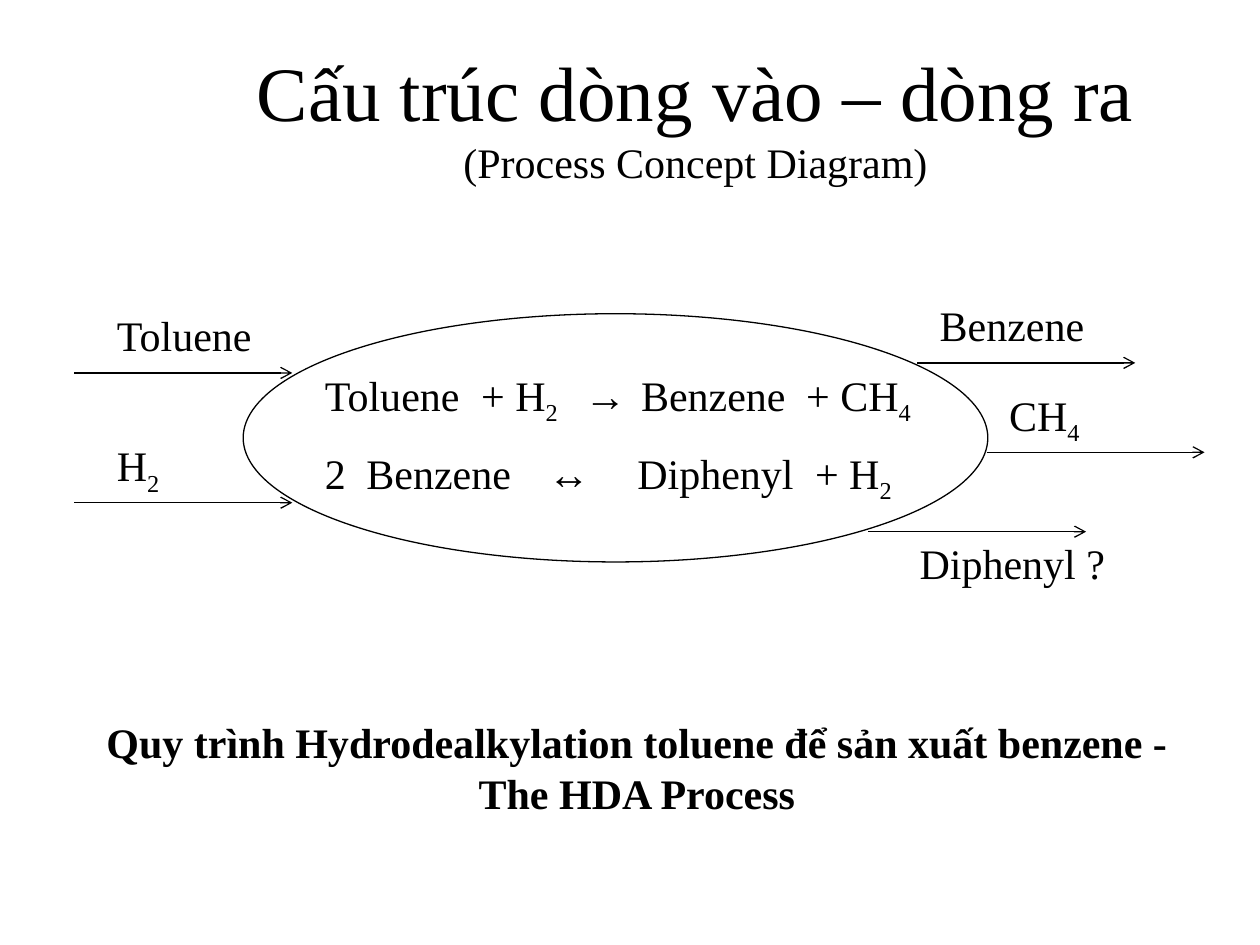
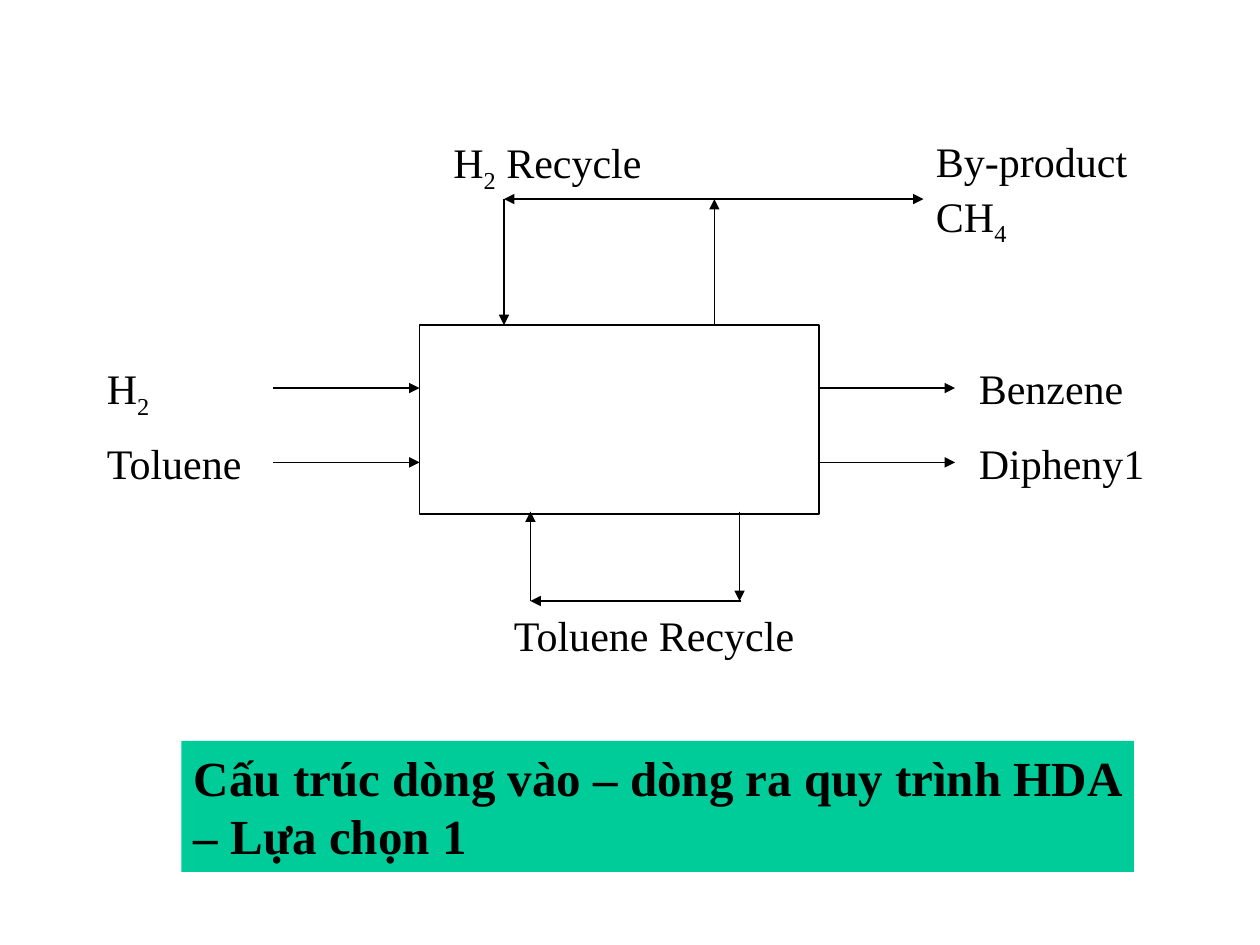
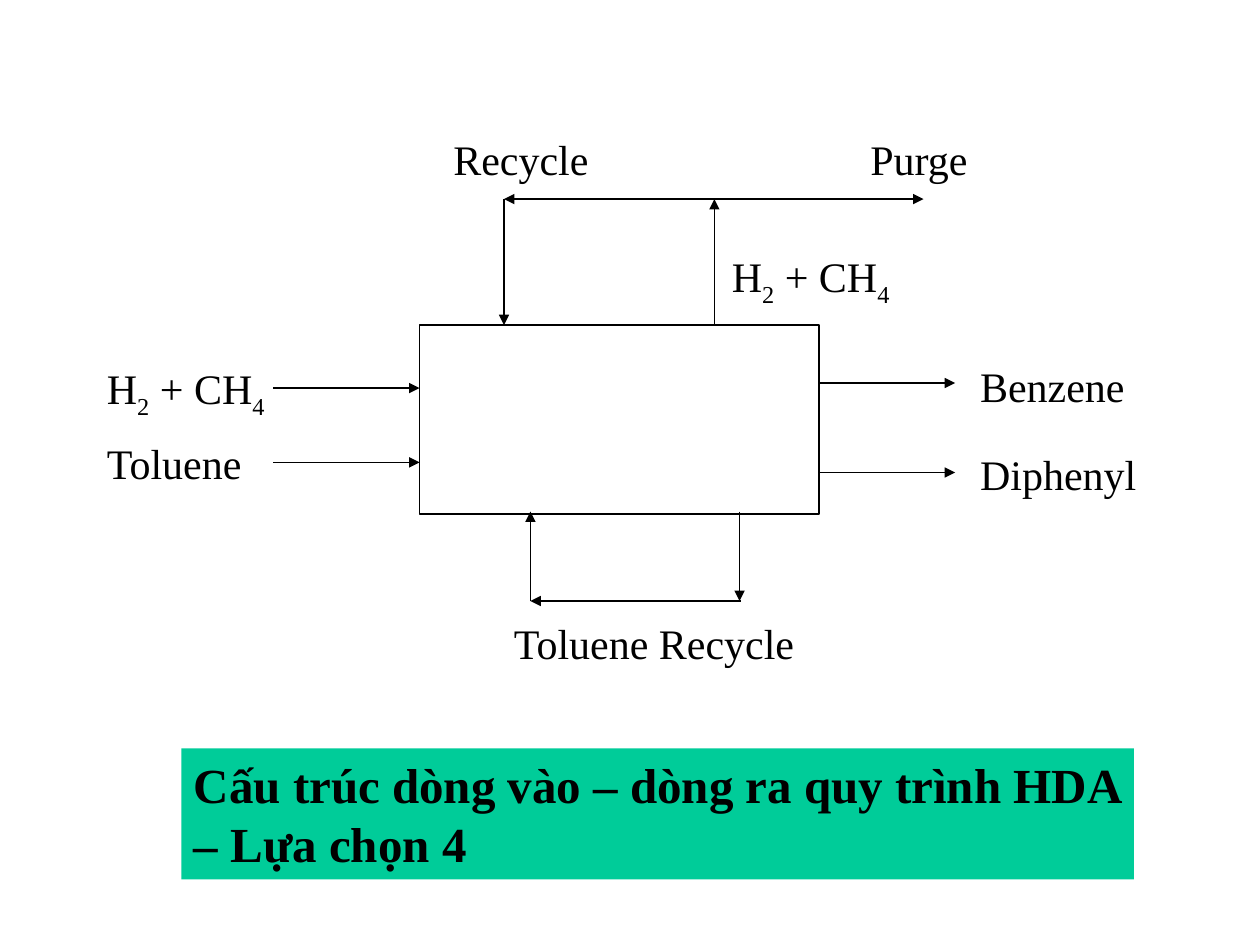
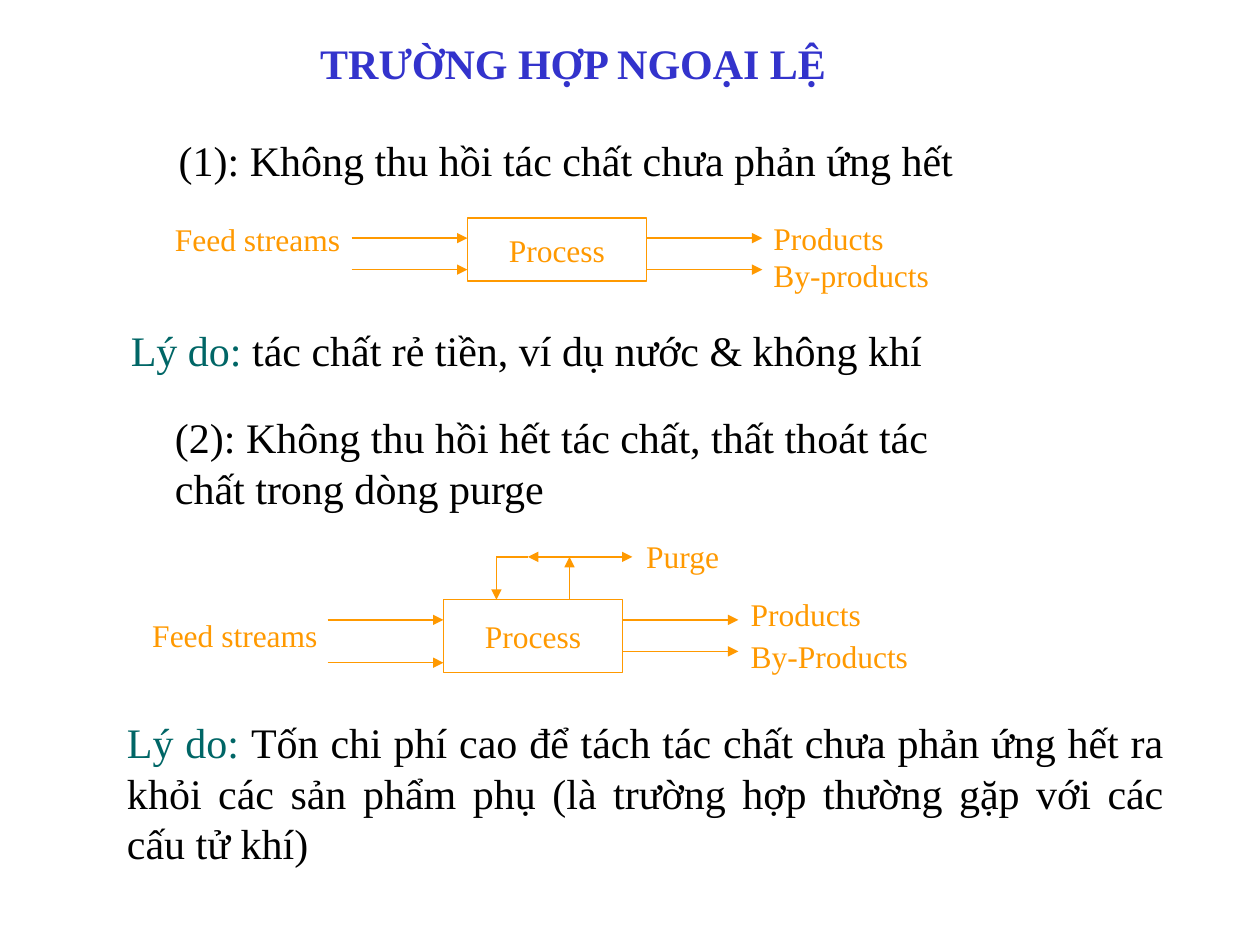
from lxml.etree import SubElement
from pptx import Presentation
from pptx.dml.color import RGBColor
from pptx.enum.shapes import MSO_CONNECTOR, MSO_SHAPE
from pptx.enum.text import MSO_ANCHOR, MSO_AUTO_SIZE, PP_ALIGN
from pptx.oxml.ns import qn
from pptx.util import Inches, Pt

COLORS = {"ink": "000000", "paper": "FFFFFF", "banner": "00CC99",
          "heading": "3333CC", "flow": "FF9900", "reason": "006666"}
FONT = "Times New Roman"
TIGHT = 0.6  # line spacing of the labels above and below the recycle loops

# ---- Content: "_" makes the next character a subscript ----
CONCEPT_TITLE = "Cấu trúc dòng vào – dòng ra"
CONCEPT_SUBTITLE = "(Process Concept Diagram)"
REACTIONS = [
    ("Toluene\t+ H_2\t→\tBenzene\t+ CH_4", (1.24, 2.06, 2.51, 3.82)),
    ("2\tBenzene\t↔\tDiphenyl\t+ H_2", (0.33, 1.77, 2.48, 3.89)),
]
# label, label left, label top, label width, arrow left, arrow y
CONCEPT_STREAMS = [
    ("Toluene", 0.83, 2.41, 1.36, 0.59, 2.96),
    ("H_2", 0.83, 3.44, 0.64, 0.59, 3.99),
    ("Benzene", 7.36, 2.33, 1.36, 7.28, 2.88),
    ("CH_4", 7.91, 3.04, 0.78, 7.83, 3.59),
    ("Diphenyl ?", 7.2, 4.22, 1.69, 6.89, 4.22),
]
CONCEPT_CAPTION = ["Quy trình Hydrodealkylation toluene để sản xuất benzene -",
                   "The HDA Process"]

# labels: paragraphs, left, top, width, height, line spacing
OPTIONS = [
    {"caption": "Cấu trúc dòng vào – dòng ra quy trình HDA – Lựa chọn 1",
     "caption_top": 5.88, "outlets": (3.08, 3.67),
     "labels": [
         (["By-product", "CH_4"], 7.33, 1.17, 1.84, 0.79, TIGHT),
         (["Benzene"], 7.67, 2.83, 1.42, 0.5, None),
         (["Dipheny1"], 7.67, 3.42, 1.58, 0.5, None),
         (["H_2"], 0.75, 2.83, 1.5, 0.5, None),
         (["H_2 Recycle"], 3.5, 1.15, 2.76, 0.36, TIGHT),
         (["Toluene Recycle"], 3.98, 4.93, 2.68, 0.34, TIGHT)]},
    {"caption": "Cấu trúc dòng vào – dòng ra quy trình HDA – Lựa chọn 4",
     "caption_top": 5.94, "outlets": (3.04, 3.75),
     "labels": [
         (["Benzene"], 7.68, 2.81, 1.42, 0.5, None),
         (["Diphenyl"], 7.68, 3.51, 1.65, 0.5, None),
         (["H_2 + CH_4"], 0.75, 2.83, 1.81, 0.5, None),
         (["Recycle"], 3.5, 1.15, 1.57, 0.34, TIGHT),
         (["Purge"], 6.81, 1.15, 1.34, 0.34, TIGHT),
         (["H_2 + CH_4"], 5.71, 1.94, 1.81, 0.5, None),
         (["Toluene Recycle"], 3.98, 4.85, 3.07, 0.5, None)]},
]
FEED_LABEL = (["Toluene"], 0.75, 3.42, 1.33, 0.5, None)
INLETS = (3.08, 3.67)
RECYCLE_LOOPS = [
    ((5.67, 2.58), (5.67, 1.58)), ((5.67, 1.58), (4, 1.58)),
    ((4, 1.58), (4, 2.58)), ((5.67, 1.58), (7.33, 1.58)),
    ((5.87, 4.06), (5.87, 4.77)), ((5.88, 4.77), (4.21, 4.77)),
    ((4.21, 4.77), (4.21, 4.06)),
]

EXCEPTIONS_TITLE = "TRƯỜNG HỢP NGOẠI LỆ"
CASE_1 = "(1): Không thu hồi tác chất chưa phản ứng hết"
CASE_2 = "(2): Không thu hồi hết tác chất, thất thoát tác chất trong dòng purge"
# reason text, left, top, height
REASONS = [
    ("tác chất rẻ tiền, ví dụ nước & không khí", 0.94, 2.53, 0.5),
    ("Tốn chi phí cao để tách tác chất chưa phản ứng hết ra khỏi các sản "
     "phẩm phụ (là trường hợp thường gặp với các cấu tử khí)", 0.91, 5.64, 1.31),
]
# labels: text, left, top, width
PROCESSES = [
    {"box": (3.71, 1.73, 1.42, 0.5), "inlets": (1.89, 2.14), "outlets": (1.89, 2.14),
     "labels": [("Feed streams", 1.29, 1.7, 1.83), ("Products", 6.04, 1.69, 1.75),
                ("By-products", 6.04, 1.98, 1.5)]},
    {"box": (3.52, 4.76, 1.42, 0.58), "inlets": (4.92, 5.26), "outlets": (4.92, 5.17),
     "labels": [("Purge", 5.03, 4.21, 1.25), ("Products", 5.86, 4.67, 1.5),
                ("By-Products", 5.86, 5.01, 1.67), ("Feed streams", 1.11, 4.84, 1.58)]},
]
PURGE_LOOP = [
    ((4.52, 4.76), (4.52, 4.42), "triangle"), ((4.52, 4.42), (4.19, 4.42), "triangle"),
    ((4.52, 4.42), (5.02, 4.42), "triangle"), ((4.19, 4.42), (3.94, 4.42), None),
    ((3.94, 4.42), (3.94, 4.76), "triangle"),
]


# ---- Shared helpers ----
def rgb(name):
    return RGBColor.from_string(COLORS[name])


def add_run(paragraph, text, size=24, color="ink", bold=False, subscript=False):
    run = paragraph.add_run()
    run.text = text
    run.font.name, run.font.size, run.font.bold = FONT, Pt(size), bold
    run.font.color.rgb = rgb(color)
    if subscript:
        run.font._element.set("baseline", "-25000")


def add_formula(paragraph, text, **style):
    plain, *rest = text.split("_")
    add_run(paragraph, plain, **style)
    for piece in rest:
        add_run(paragraph, piece[0], subscript=True, **style)
        if piece[1:]:
            add_run(paragraph, piece[1:], **style)


def set_tabs(paragraph, stops):
    tab_list = SubElement(paragraph._p.get_or_add_pPr(), qn("a:tabLst"))
    for stop in stops:
        SubElement(tab_list, qn("a:tab"), pos=str(Inches(stop)), algn="l")


def prepare_frame(shape, wrap=True, grow=True, anchor=MSO_ANCHOR.TOP):
    frame = shape.text_frame
    frame.word_wrap = wrap
    frame.auto_size = MSO_AUTO_SIZE.SHAPE_TO_FIT_TEXT if grow else MSO_AUTO_SIZE.NONE
    frame.vertical_anchor = anchor
    return frame


def add_box(slide, place, **frame_style):
    return prepare_frame(slide.shapes.add_textbox(*map(Inches, place)), **frame_style)


def fill_frame(frame, paragraphs, align=PP_ALIGN.LEFT, spacing=None, gap=0, **style):
    for index, text in enumerate(paragraphs):
        paragraph = frame.add_paragraph() if index else frame.paragraphs[0]
        paragraph.alignment = align
        if spacing:
            paragraph.line_spacing = spacing
        if index and gap:
            paragraph.space_before = Pt(gap)
        add_formula(paragraph, text, **style)


def add_outline(slide, kind, place, fill=None, line=None):
    shape = slide.shapes.add_shape(kind, *map(Inches, place))
    shape.shadow.inherit = False
    if fill:
        shape.fill.solid()
        shape.fill.fore_color.rgb = rgb(fill)
    else:
        shape.fill.background()
    if line:
        shape.line.color.rgb, shape.line.width = rgb(line), Pt(0.75)
    else:
        shape.line.fill.background()
    return shape


def add_stream(slide, start, end, color="ink", head="triangle"):
    stream = slide.shapes.add_connector(
        MSO_CONNECTOR.STRAIGHT, *map(Inches, (*start, *end)))
    stream.line.color.rgb, stream.line.width = rgb(color), Pt(0.75)
    if head:
        SubElement(stream.line._get_or_add_ln(), qn("a:tailEnd"), type=head)
    SubElement(stream._element.spPr, qn("a:effectLst"))


def add_side_streams(slide, box, inlets, outlets, in_length, out_length, color="ink"):
    left, right = box[0], box[0] + box[2]
    for y in inlets:
        add_stream(slide, (left - in_length, y), (left, y), color)
    for y in outlets:
        add_stream(slide, (right, y), (right + out_length, y), color)


# ---- Slides ----
def build_concept(slide):
    title = add_box(slide, (1.26, 0.23, 8.52, 1.6), grow=False)
    title.margin_top = Inches(0.12)
    heading = title.paragraphs[0]
    heading.alignment = PP_ALIGN.CENTER
    add_run(heading, CONCEPT_TITLE, size=44)
    heading.add_line_break()
    add_run(heading, CONCEPT_SUBTITLE)

    reactions = add_box(slide, (2.48, 2.88, 5.12, 1.11))
    fill_frame(reactions, [text for text, _ in REACTIONS], gap=12)
    for paragraph, (_, stops) in zip(reactions.paragraphs, REACTIONS):
        set_tabs(paragraph, stops)
    add_outline(slide, MSO_SHAPE.OVAL, (1.93, 2.49, 5.91, 1.97), line="ink")

    for label, left, top, width, start, y in CONCEPT_STREAMS:
        add_stream(slide, (start, y), (start + 1.73, y), head="arrow")
        fill_frame(add_box(slide, (left, top, width, 0.5), wrap=False), [label])
    caption = add_box(slide, (0.62, 5.64, 8.87, 0.91), wrap=False)
    fill_frame(caption, CONCEPT_CAPTION, align=PP_ALIGN.CENTER, bold=True)


def build_option(slide, option):
    plant = (3.33, 2.58, 3.17, 1.5)
    add_outline(slide, MSO_SHAPE.RECTANGLE, plant, "paper", "ink")
    add_side_streams(slide, plant, INLETS, option["outlets"], 1.16, 1.08)
    for start, end in RECYCLE_LOOPS:
        add_stream(slide, start, end)
    for paragraphs, *place, spacing in [*option["labels"], FEED_LABEL]:
        fill_frame(add_box(slide, place), paragraphs, spacing=spacing, gap=12)
    banner = add_outline(slide, MSO_SHAPE.RECTANGLE,
                         (1.44, option["caption_top"], 7.56, 1.04), "banner")
    fill_frame(prepare_frame(banner), [option["caption"]], size=28, bold=True)


def build_exceptions(slide):
    heading = add_box(slide, (0.42, 0.25, 8.75, 0.5))
    heading.margin_right = Inches(0.59)
    fill_frame(heading, [EXCEPTIONS_TITLE], align=PP_ALIGN.CENTER,
               color="heading", bold=True)
    fill_frame(add_box(slide, (1.32, 1.02, 6.49, 0.5), wrap=False), [CASE_1])
    case_2 = add_outline(slide, MSO_SHAPE.RECTANGLE, (1.29, 3.22, 6.65, 0.91),
                         line="paper")
    fill_frame(prepare_frame(case_2), [CASE_2])

    for process in PROCESSES:
        box = add_outline(slide, MSO_SHAPE.RECTANGLE, process["box"], "paper", "flow")
        fill_frame(prepare_frame(box, wrap=False, grow=False, anchor=MSO_ANCHOR.MIDDLE),
                   ["Process"], align=PP_ALIGN.CENTER, size=18, color="flow")
        add_side_streams(slide, process["box"], process["inlets"],
                         process["outlets"], 0.92, 0.92, "flow")
        for label, left, top, width in process["labels"]:
            fill_frame(add_box(slide, (left, top, width, 0.4)), [label],
                       size=18, color="flow")
    for start, end, head in PURGE_LOOP:
        add_stream(slide, start, end, "flow", head)

    for reason, left, top, height in REASONS:
        paragraph = add_box(slide, (left, top, 8.43, height)).paragraphs[0]
        paragraph.alignment = PP_ALIGN.JUSTIFY
        add_run(paragraph, "Lý do: ", color="reason")
        add_run(paragraph, reason)


def main():
    deck = Presentation()
    deck.slide_width, deck.slide_height = Inches(10), Inches(7.5)

    def new_slide():
        return deck.slides.add_slide(deck.slide_layouts[6])

    build_concept(new_slide())
    for option in OPTIONS:
        build_option(new_slide(), option)
    build_exceptions(new_slide())
    deck.save("out.pptx")


if __name__ == "__main__":
    main()
